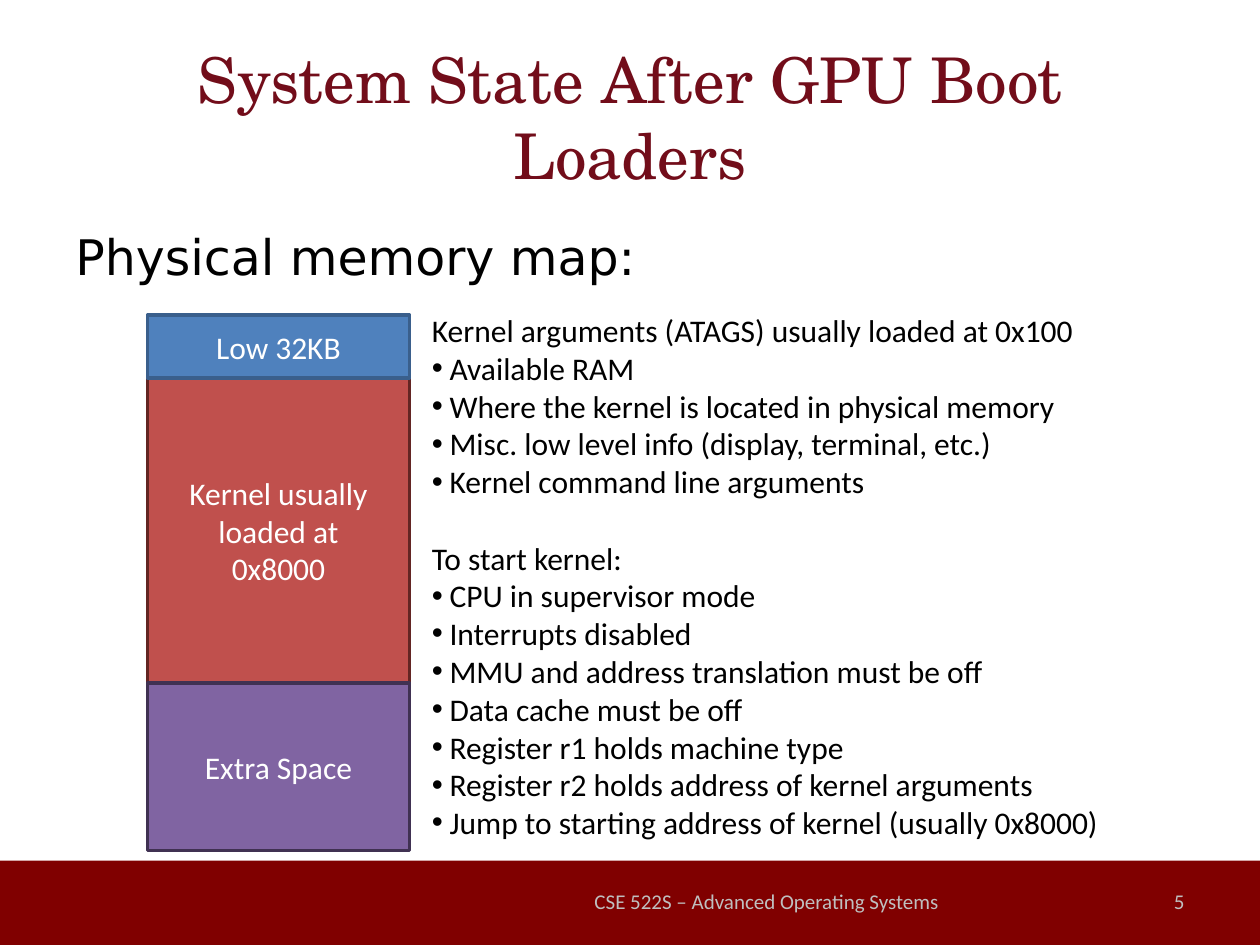
from typing import NamedTuple

from lxml.etree import SubElement
from pptx import Presentation
from pptx.dml.color import RGBColor
from pptx.enum.shapes import MSO_SHAPE
from pptx.enum.text import MSO_ANCHOR, MSO_AUTO_SIZE, PP_ALIGN
from pptx.oxml.ns import qn
from pptx.util import Inches, Pt

COLORS = {
    "maroon": "800000", "title": "720D1A", "black": "000000",
    "white": "FFFFFF", "gray": "BFBFBF",
    "red": "C0504D", "red_line": "632523",
    "blue": "4F81BD", "blue_line": "3A5F8C",
    "purple": "8064A2", "purple_line": "403152",
}


class Region(NamedTuple):
    label: str
    top: float
    height: float
    color: str


class Label(NamedTuple):
    text: str
    box: tuple[float, float, float, float]
    size: int
    font: str
    color: str
    align: PP_ALIGN
    anchor: MSO_ANCHOR


class Section(NamedTuple):
    heading: str
    bullets: list[str]


# The low region comes second so that its border lies over the kernel's.
REGIONS = [
    Region("Kernel usually\vloaded at\v0x8000", 3, 2.42, "red"),
    Region("Low 32KB", 2.5, 0.5, "blue"),
    Region("Extra Space", 5.42, 1.33, "purple"),
]

LABELS = [
    Label("System State After GPU Boot Loaders", (0.5, 0.3, 9, 1.25), 36,
          "TeX Gyre Schola", "title", PP_ALIGN.CENTER, MSO_ANCHOR.MIDDLE),
    Label("Physical memory map:", (0.5, 1.75, 9, 0.65), 28,
          "DejaVu Sans", "black", PP_ALIGN.LEFT, MSO_ANCHOR.TOP),
    Label("CSE 522S – Advanced Operating Systems", (4.5, 6.95, 3.17, 0.4), 12,
          "Calibri", "gray", PP_ALIGN.CENTER, MSO_ANCHOR.MIDDLE),
    Label("5", (7.17, 6.95, 2.33, 0.4), 12,
          "Calibri", "gray", PP_ALIGN.RIGHT, MSO_ANCHOR.MIDDLE),
]

SECTIONS = [
    Section("Kernel arguments (ATAGS) usually loaded at 0x100", [
        "Available RAM",
        "Where the kernel is located in physical memory",
        "Misc. low level info (display, terminal, etc.)",
        "Kernel command line arguments",
    ]),
    Section("To start kernel:", [
        "CPU in supervisor mode",
        "Interrupts disabled",
        "MMU and address translation must be off",
        "Data cache must be off",
        "Register r1 holds machine type",
        "Register r2 holds address of kernel arguments",
        "Jump to starting address of kernel (usually 0x8000)",
    ]),
]


def rgb(name: str) -> RGBColor:
    return RGBColor.from_string(COLORS[name])


def style_runs(p, size: int, font: str, color: str) -> None:
    for r in p.runs:
        r.font.size = Pt(size)
        r.font.name = font
        r.font.color.rgb = rgb(color)


def add_rect(s, left: float, top: float, width: float, height: float, color: str):
    sp = s.shapes.add_shape(MSO_SHAPE.RECTANGLE, Inches(left), Inches(top),
                            Inches(width), Inches(height))
    sp.shadow.inherit = False
    sp.fill.solid()
    sp.fill.fore_color.rgb = rgb(color)
    sp.line.fill.background()
    return sp


def add_region(s, region: Region) -> None:
    sp = add_rect(s, 1.17, region.top, 2.08, region.height, region.color)
    sp.line.color.rgb = rgb(region.color + "_line")
    sp.line.width = Pt(2)
    tf = sp.text_frame
    tf.text = region.label
    tf.vertical_anchor = MSO_ANCHOR.MIDDLE
    p = tf.paragraphs[0]
    p.alignment = PP_ALIGN.CENTER
    style_runs(p, 18, "Calibri", "white")


def add_label(s, label: Label) -> None:
    tf = s.shapes.add_textbox(*map(Inches, label.box)).text_frame
    tf.word_wrap = True
    tf.vertical_anchor = label.anchor
    tf.text = label.text
    p = tf.paragraphs[0]
    p.alignment = label.align
    style_runs(p, label.size, label.font, label.color)


def add_bullet(p) -> None:
    """Give the paragraph a bullet with a hanging indent."""
    pPr = p._p.get_or_add_pPr()
    pPr.set("marL", str(Inches(0.14)))
    pPr.set("indent", str(Inches(-0.14)))
    SubElement(pPr, qn("a:buFont")).set("typeface", "Arial")
    SubElement(pPr, qn("a:buChar")).set("char", "•")


def add_notes_column(s, sections: list[Section]) -> None:
    tf = s.shapes.add_textbox(Inches(3.33), Inches(2.42),
                              Inches(5.56), Inches(4.34)).text_frame
    tf.word_wrap = False
    tf.auto_size = MSO_AUTO_SIZE.SHAPE_TO_FIT_TEXT
    for i, section in enumerate(sections):
        p = tf.add_paragraph() if i else tf.paragraphs[0]
        p.text = section.heading
        if i:
            p.space_before = Pt(22)
        for bullet in section.bullets:
            p = tf.add_paragraph()
            p.text = bullet
            add_bullet(p)
    for p in tf.paragraphs:
        style_runs(p, 18, "Calibri", "black")


def main() -> None:
    prs = Presentation()
    prs.slide_width, prs.slide_height = Inches(10), Inches(7.5)
    s = prs.slides.add_slide(prs.slide_layouts[6])
    add_rect(s, 0, 6.83, 10, 0.67, "maroon")
    for label in LABELS:
        add_label(s, label)
    add_notes_column(s, SECTIONS)
    for region in REGIONS:
        add_region(s, region)
    prs.save("out.pptx")


if __name__ == "__main__":
    main()
